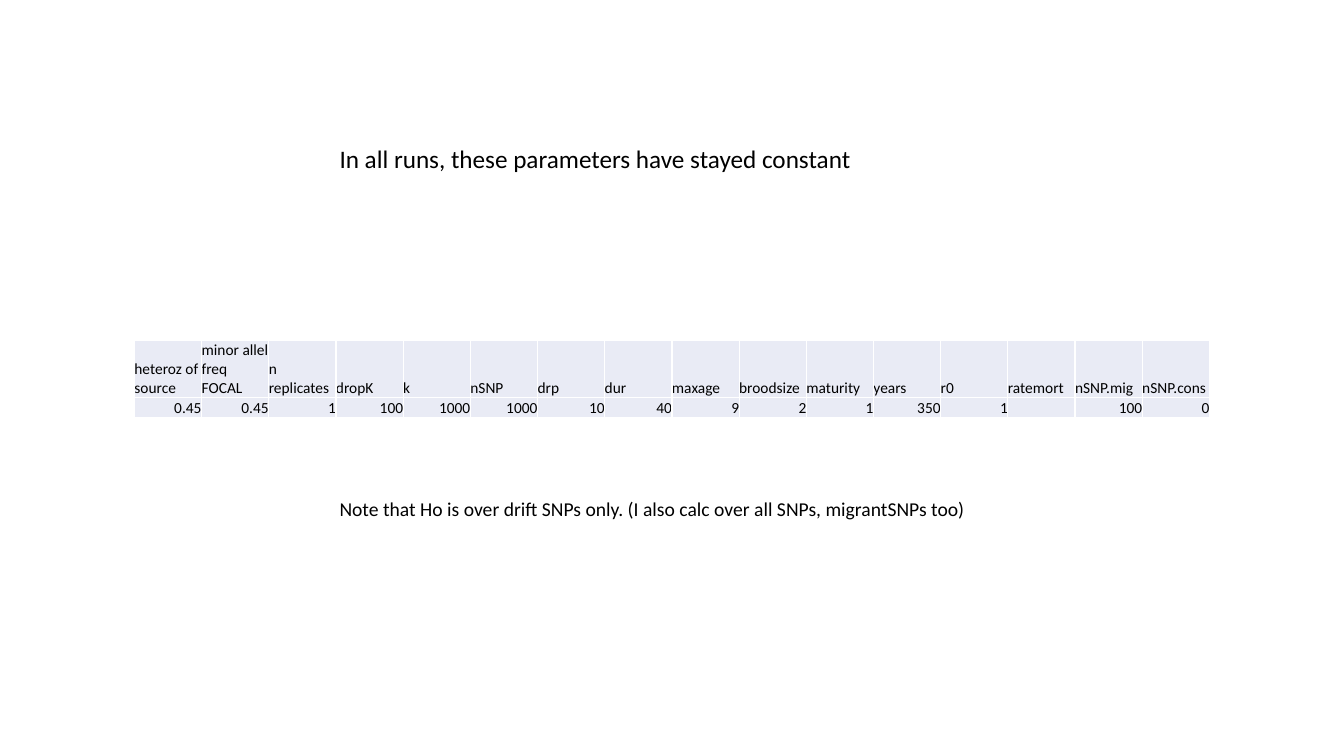
from lxml.etree import SubElement
from pptx import Presentation
from pptx.dml.color import RGBColor
from pptx.enum.text import MSO_ANCHOR, MSO_AUTO_SIZE, PP_ALIGN
from pptx.oxml.ns import qn
from pptx.util import Inches, Pt

COLORS = {"text": "000000", "cell": "E9EBF5", "border": "FFFFFF"}
FONT = "Calibri"
CELL_SIZE = 11

PARAMETERS = [
    ("heteroz of source", "0.45"),
    ("minor allel freq FOCAL", "0.45"),
    ("n replicates", "1"),
    ("dropK", "100"),
    ("k", "1000"),
    ("nSNP", "1000"),
    ("drp", "10"),
    ("dur", "40"),
    ("maxage", "9"),
    ("broodsize", "2"),
    ("maturity", "1"),
    ("years", "350"),
    ("r0", "1"),
    ("ratemort", ""),
    ("nSNP.mig", "100"),
    ("nSNP.cons", "0"),
]


def write(frame, text, size, align=PP_ALIGN.LEFT):
    paragraph = frame.paragraphs[0]
    paragraph.alignment = align
    if not text:
        # An empty cell keeps the row low through its end-of-paragraph size
        SubElement(paragraph._p, qn("a:endParaRPr"), sz=str(size * 100))
        return
    run = paragraph.add_run()
    run.text = text
    run.font.name = FONT
    run.font.size = Pt(size)
    run.font.color.rgb = RGBColor.from_string(COLORS["text"])


def draw_borders(cell):
    properties = cell._tc.get_or_add_tcPr()
    for side in ("a:lnL", "a:lnR", "a:lnT", "a:lnB"):
        line = SubElement(properties, qn(side), w=str(Pt(1)))
        fill = SubElement(line, qn("a:solidFill"))
        SubElement(fill, qn("a:srgbClr"), val=COLORS["border"])


deck = Presentation()
deck.slide_width = Inches(13.333)
deck.slide_height = Inches(7.5)
slide = deck.slides.add_slide(deck.slide_layouts[6])

# Parameter table: each column is a twentieth of the slide's width
column_width = deck.slide_width // 20
row_heights = [Inches(0.55), Inches(0.2)]
parameters = slide.shapes.add_table(
    len(row_heights), len(PARAMETERS), 2 * column_width, Inches(3.38),
    len(PARAMETERS) * column_width, sum(row_heights)).table
parameters.first_row = False
parameters.horz_banding = False
for row, height in zip(parameters.rows, row_heights):
    row.height = height

for column, entry in enumerate(PARAMETERS):
    parameters.columns[column].width = column_width
    for row, (text, align) in enumerate(zip(entry, (PP_ALIGN.LEFT, PP_ALIGN.RIGHT))):
        cell = parameters.cell(row, column)
        cell.margin_left = cell.margin_right = cell.margin_top = cell.margin_bottom = 0
        cell.vertical_anchor = MSO_ANCHOR.BOTTOM
        draw_borders(cell)
        cell.fill.solid()
        cell.fill.fore_color.rgb = RGBColor.from_string(COLORS["cell"])
        write(cell.text_frame, text, CELL_SIZE, align)

# Heading above the table and note below it, on one left edge
for text, size, top, width, height in [
    ("In all runs, these parameters have stayed constant", 18, 1.37, 5.33, 0.4),
    ("Note that Ho is over drift SNPs only. (I also calc over all SNPs, migrantSNPs too)",
     14, 4.88, 6.46, 0.34),
]:
    statement = slide.shapes.add_textbox(
        Inches(3.27), Inches(top), Inches(width), Inches(height)).text_frame
    statement.word_wrap = False
    statement.auto_size = MSO_AUTO_SIZE.SHAPE_TO_FIT_TEXT
    write(statement, text, size)

deck.save("out.pptx")
